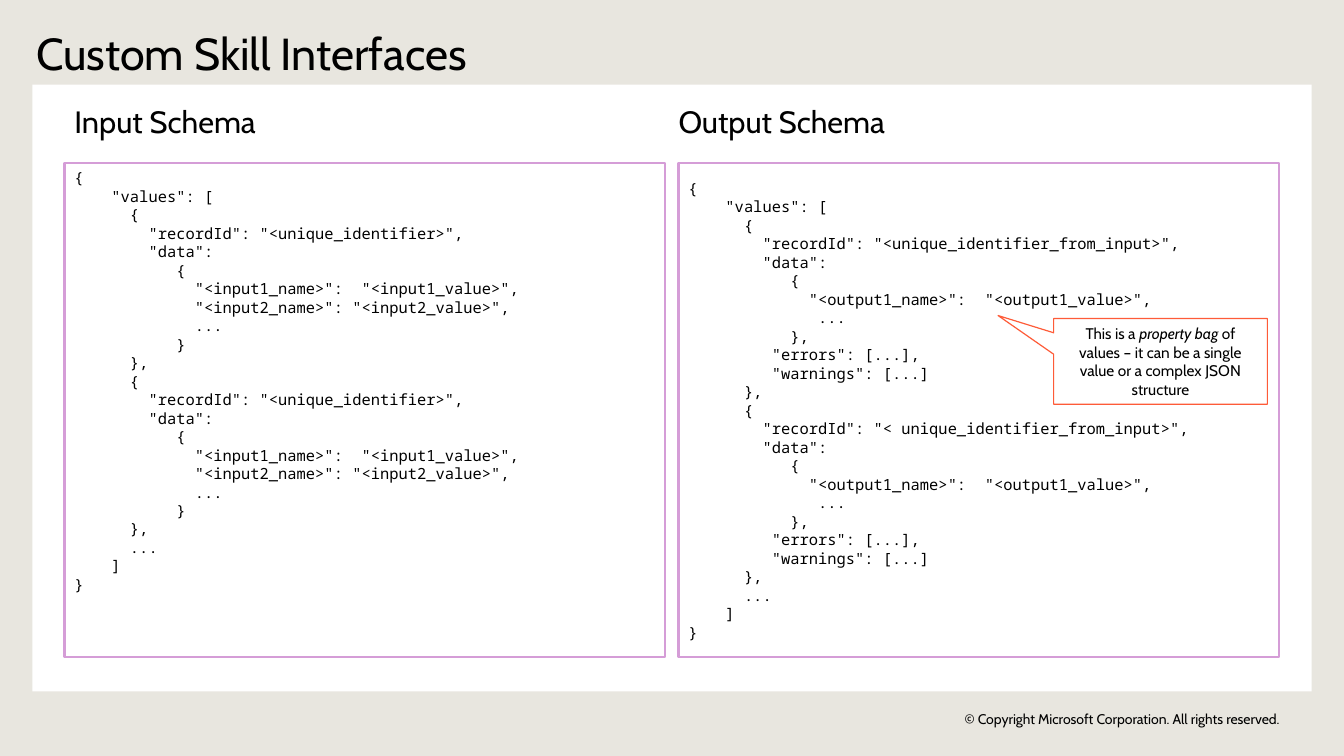
"""Build the slide on custom skill interfaces."""
from pptx import Presentation
from pptx.dml.color import RGBColor
from pptx.enum import shapes, text
from pptx.util import Inches, Pt

SAND = RGBColor(0xE8, 0xE6, 0xDF)
WHITE = RGBColor(0xFF, 0xFF, 0xFF)
BLACK = RGBColor(0, 0, 0)
LILAC = RGBColor(0xD5, 0x9D, 0xD7)
ORANGE = RGBColor(0xFE, 0x5B, 0x38)
SANS, MONO = "Cabin", "Noto Sans Mono"
MIDDLE, TOP = text.MSO_ANCHOR.MIDDLE, text.MSO_ANCHOR.TOP
LEFT, CENTER, RIGHT = text.PP_ALIGN.LEFT, text.PP_ALIGN.CENTER, text.PP_ALIGN.RIGHT
RECT = shapes.MSO_SHAPE.RECTANGLE
CALLOUT = shapes.MSO_SHAPE.RECTANGULAR_CALLOUT

TITLE = "Custom Skill Interfaces"
NOTE = [
    ("This is a ", False),
    ("property bag", True),
    (" of values – it can be a single value or a complex JSON structure", False),
]
RIGHTS = "© Copyright Microsoft Corporation. All rights reserved."
HEAD = """{
    "values": ["""
TAIL = """      ...
    ]
}"""
INPUT = """      {
        "recordId": "<KEY>",
        "data":
           {
             "<input1_name>":  "<input1_value>",
             "<input2_name>": "<input2_value>",
             ...
           }
      },"""
OUTPUT = """      {
        "recordId": "<KEY>",
        "data":
           {
             "<output1_name>":  "<output1_value>",
              ...
           },
         "errors": [...],
         "warnings": [...]
      },"""
SCHEMAS = [
    ("Input Schema", INPUT, ["unique_identifier"] * 2, TOP, 0.1),
    ("Output Schema", OUTPUT,
     ["unique_identifier_from_input", " unique_identifier_from_input"], MIDDLE, 0),
]


def write(shape, lines, size, font=SANS, align=LEFT, anchor=MIDDLE,
          inset=(0, 0, 0, 0)):
    """Fill a shape with lines, each a list of (words, italic) runs."""
    frame = shape.text_frame
    frame.word_wrap = True
    frame.vertical_anchor = anchor
    (frame.margin_left, frame.margin_top,
     frame.margin_right, frame.margin_bottom) = map(Inches, inset)
    for i, runs in enumerate(lines):
        para = frame.add_paragraph() if i else frame.paragraphs[0]
        para.alignment = align
        para.font.size, para.font.name = Pt(size), font
        para.font.color.rgb = BLACK
        for words, slant in runs:
            run = para.add_run()
            run.text = words
            if slant:
                run.font.italic = True


def draw(slide, kind, box, fill=None, line=None, width=1.5):
    """Add a flat preset shape."""
    shape = slide.shapes.add_shape(kind, *map(Inches, box))
    shape.shadow.inherit = False
    if fill is None:
        shape.fill.background()
    else:
        shape.fill.solid()
        shape.fill.fore_color.rgb = fill
    if line is None:
        shape.line.fill.background()
    else:
        shape.line.color.rgb = line
        shape.line.width = Pt(width)
    return shape


def main():
    """Lay out the slide and save it."""
    deck = Presentation()
    deck.slide_width, deck.slide_height = Inches(13.33), Inches(7.5)
    slide = deck.slides.add_slide(deck.slide_layouts[5])
    slide.background.fill.solid()
    slide.background.fill.fore_color.rgb = SAND
    draw(slide, RECT, (0.32, 0.84, 12.69, 6.02), WHITE)

    title = slide.shapes.title
    title.left, title.top, title.width, title.height = map(
        Inches, (0.36, 0.25, 11.41, 0.54))
    write(title, [[(TITLE, False)]], 32, anchor=TOP)

    for i, (name, record, keys, anchor, pad) in enumerate(SCHEMAS):
        left = 0.64 + i * 6.09
        label = slide.shapes.add_textbox(*map(Inches, (left, 0.95, 2.57, 0.5)))
        write(label, [[(name, False)]], 22, inset=(pad, 0.05, 0.1, 0.05))
        code = "\n".join([HEAD, *(record.replace("KEY", key) for key in keys), TAIL])
        panel = draw(slide, RECT, (left, 1.62, 5.96, 4.9), line=LILAC)
        write(panel, [[(row, False)] for row in code.split("\n")], 11, MONO,
              anchor=anchor, inset=(0.1, 0.05, 0.1, 0.05))

    note = draw(slide, CALLOUT, (10.45, 3.16, 2.12, 0.85), WHITE, ORANGE, 0.85)
    note.adjustments[0], note.adjustments[1] = -0.76, -0.535
    write(note, [NOTE], 11, align=CENTER, inset=(0.2, 0.16, 0.2, 0.16))

    foot = slide.shapes.add_textbox(*map(Inches, (8.15, 7.02, 4.54, 0.22)))
    write(foot, [[(RIGHTS, False)]], 10, align=RIGHT)
    deck.save("out.pptx")


if __name__ == "__main__":
    main()
